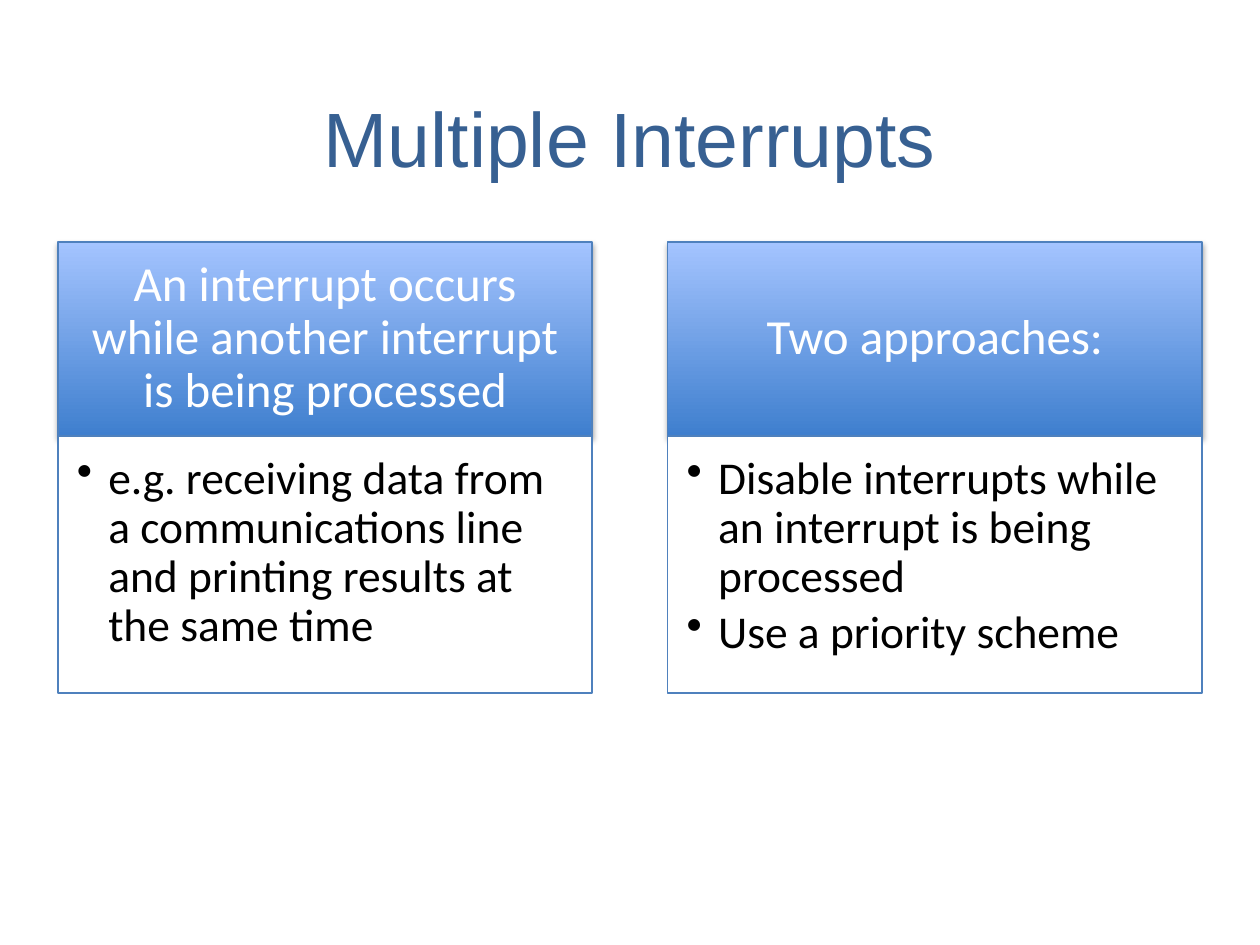
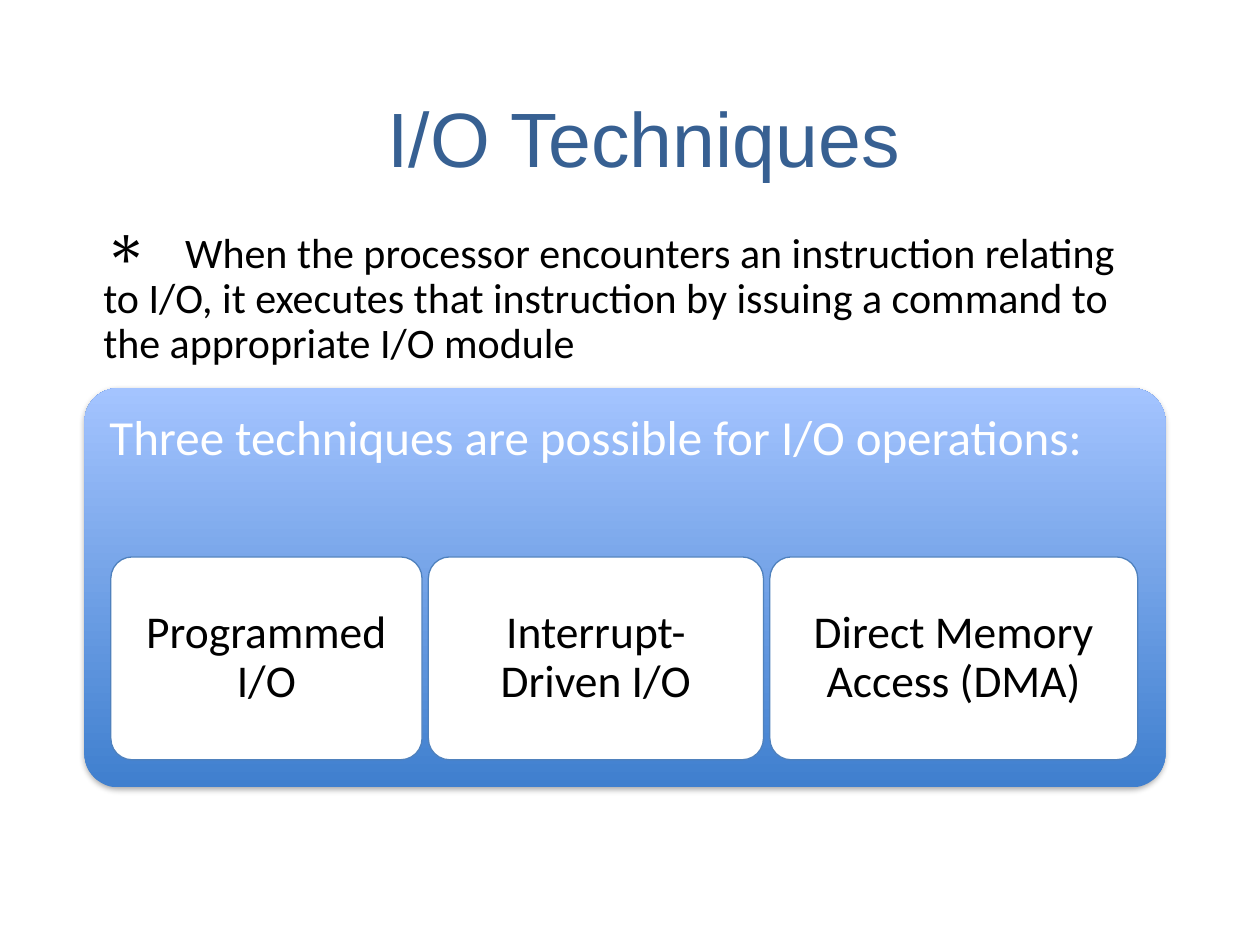
from dataclasses import dataclass

from lxml import etree
from pptx import Presentation
from pptx import util as u
from pptx.dml.color import RGBColor
from pptx.enum import shapes, text
from pptx.oxml import ns


@dataclass(frozen=True)
class Theme:
    title: str = "376092"
    accent: str = "4F81BD"
    deep: str = "3F7FCE"
    pale: str = "A4C4FF"
    white: str = "FFFFFF"
    black: str = "000000"
    heading_font: str = "Arial"
    body_font: str = "Calibri"
    title_size: int = 44
    header_size: int = 28
    item_size: int = 26
    intro_size: int = 24


T = Theme()
RECT = shapes.MSO_SHAPE.RECTANGLE
ROUND = shapes.MSO_SHAPE.ROUNDED_RECTANGLE
TOP, MIDDLE = text.MSO_ANCHOR.TOP, text.MSO_ANCHOR.MIDDLE
LEFT, CENTER = text.PP_ALIGN.LEFT, text.PP_ALIGN.CENTER


def rgb(value):
    return RGBColor.from_string(value)


def set_all(target, values):
    for name, value in values.items():
        setattr(target, name, value)


def add_sub(parent, tag, **attributes):
    return etree.SubElement(parent, ns.qn(tag), attributes)


def add_bullet(p, char, hanging=0, percent=100, tab=None):
    pPr = p._p.get_or_add_pPr()
    pPr.set("marL", str(u.Inches(hanging)))
    pPr.set("indent", str(-u.Inches(hanging)))
    add_sub(pPr, "a:buSzPct", val=str(percent * 1000))
    add_sub(pPr, "a:buChar", char=char)
    if tab:
        tabs = add_sub(pPr, "a:tabLst")
        add_sub(tabs, "a:tab", pos=str(u.Inches(tab)), algn="l")


def write(sp, paragraphs, size, color, insets, font=T.body_font, anchor=MIDDLE,
          align=CENTER, spacing=0.9, after=0, bullet=None):
    tf = sp.text_frame
    sides = ("margin_left", "margin_top", "margin_right", "margin_bottom")
    set_all(tf, dict(zip(sides, map(u.Inches, insets))))
    set_all(tf, {"word_wrap": True, "vertical_anchor": anchor})
    for i, content in enumerate(paragraphs):
        p = tf.add_paragraph() if i else tf.paragraphs[0]
        set_all(p, {"alignment": align, "line_spacing": spacing,
                    "space_before": u.Pt(0), "space_after": u.Pt(after)})
        if bullet:
            add_bullet(p, **bullet)
        r = p.add_run()
        r.text = content
        set_all(r.font, {"name": font, "size": u.Pt(size)})
        r.font.color.rgb = rgb(color)


def add_text(s, box):
    return s.shapes.add_textbox(*map(u.Inches, box))


def add_box(s, kind, box, radius=None, outlined=True):
    sp = s.shapes.add_shape(kind, *map(u.Inches, box))
    sp.shadow.inherit = False
    if radius:
        sp.adjustments[0] = radius
    sp.fill.solid()
    sp.fill.fore_color.rgb = rgb(T.white)
    if outlined:
        sp.line.color.rgb = rgb(T.accent)
        sp.line.width = u.Pt(0.75)
    else:
        sp.line.fill.background()
    return sp


def add_shaded_box(s, kind, box, **options):
    sp = add_box(s, kind, box, **options)
    sp.fill.gradient()
    sp.fill.gradient_angle = 90
    for stop, color in zip(sp.fill.gradient_stops, (T.deep, T.pale)):
        stop.color.rgb = rgb(color)
    effects = sp._element.spPr.find(ns.qn("a:effectLst"))
    shadow = add_sub(effects, "a:outerShdw", blurRad=str(u.Pt(3.1)),
                     dist=str(u.Pt(1.8)), dir="5400000", rotWithShape="0")
    color = add_sub(shadow, "a:srgbClr", val=T.black)
    add_sub(color, "a:alpha", val="35000")
    return sp


def add_title(s, title, width):
    write(add_text(s, (0.72, 0.5, width, 1.17)), [title], T.title_size, T.title,
          (0.1, 0.05, 0.1, 0.05), font=T.heading_font, spacing=1.0)


def add_card(s, box, header, items):
    left, top, width, height = box
    header_height = 1.54
    head = add_shaded_box(s, RECT, (left, top, width, header_height))
    write(head, [header], T.header_size, T.white, (0.22, 0.12, 0.22, 0.12))
    body = add_box(s, RECT, (left, top + header_height, width, height - header_height))
    write(body, items, T.item_size, T.black, (0.15, 0.15, 0.2, 0.23), anchor=TOP,
          align=LEFT, after=4, bullet={"char": "•", "hanging": 0.25})


def add_techniques(s, box, header, techniques):
    left, top, width, height = box
    panel = add_shaded_box(s, ROUND, box, radius=0.085, outlined=False)
    write(panel, [header], T.header_size, T.white, (0.12, 0.12, 0.12, 1.95),
          anchor=TOP, align=LEFT)
    x, gap = left + 0.21, 0.05
    for name, tile_width in techniques:
        tile = add_box(s, ROUND, (x, top + 1.34, tile_width, 1.61), radius=0.105)
        write(tile, [name], T.item_size, T.black, (0.11,) * 4)
        x += tile_width + gap


def add_intro(s, box, content):
    write(add_text(s, box), ["\t" + content], T.intro_size, T.black,
          (0.24, 0, 0.24, 0), align=LEFT,
          bullet={"char": "∗", "percent": 150, "tab": 0.65})


def multiple_interrupts(s):
    add_title(s, "Multiple Interrupts", 8.56)
    cards = [
        ("An interrupt occurs while another interrupt is being processed",
         ["e.g. receiving data from a communications line and printing results "
          "at the same time"]),
        ("Two approaches:",
         ["Disable interrupts while an interrupt is being processed",
          "Use a priority scheme"]),
    ]
    width, gap = 4.24, 0.6
    for i, (header, items) in enumerate(cards):
        add_card(s, (0.46 + i * (width + gap), 1.92, width, 3.58), header, items)


def io_techniques(s):
    add_title(s, "I/O Techniques", 8.78)
    add_techniques(s, (0.67, 3.08, 8.58, 3.17),
                   "Three techniques are possible for I/O operations:",
                   [("Programmed I/O", 2.47), ("Interrupt-Driven I/O", 2.66),
                    ("Direct Memory Access (DMA)", 2.92)])
    add_intro(s, (0.58, 1.67, 8.83, 1.42),
              "When the processor encounters an instruction relating to I/O, it "
              "executes that instruction by issuing a command to the appropriate "
              "I/O module")


def main():
    prs = Presentation()
    set_all(prs, {"slide_width": u.Inches(10), "slide_height": u.Inches(7.5)})
    for build in (multiple_interrupts, io_techniques):
        build(prs.slides.add_slide(prs.slide_layouts[6]))
    prs.save("out.pptx")


if __name__ == "__main__":
    main()
